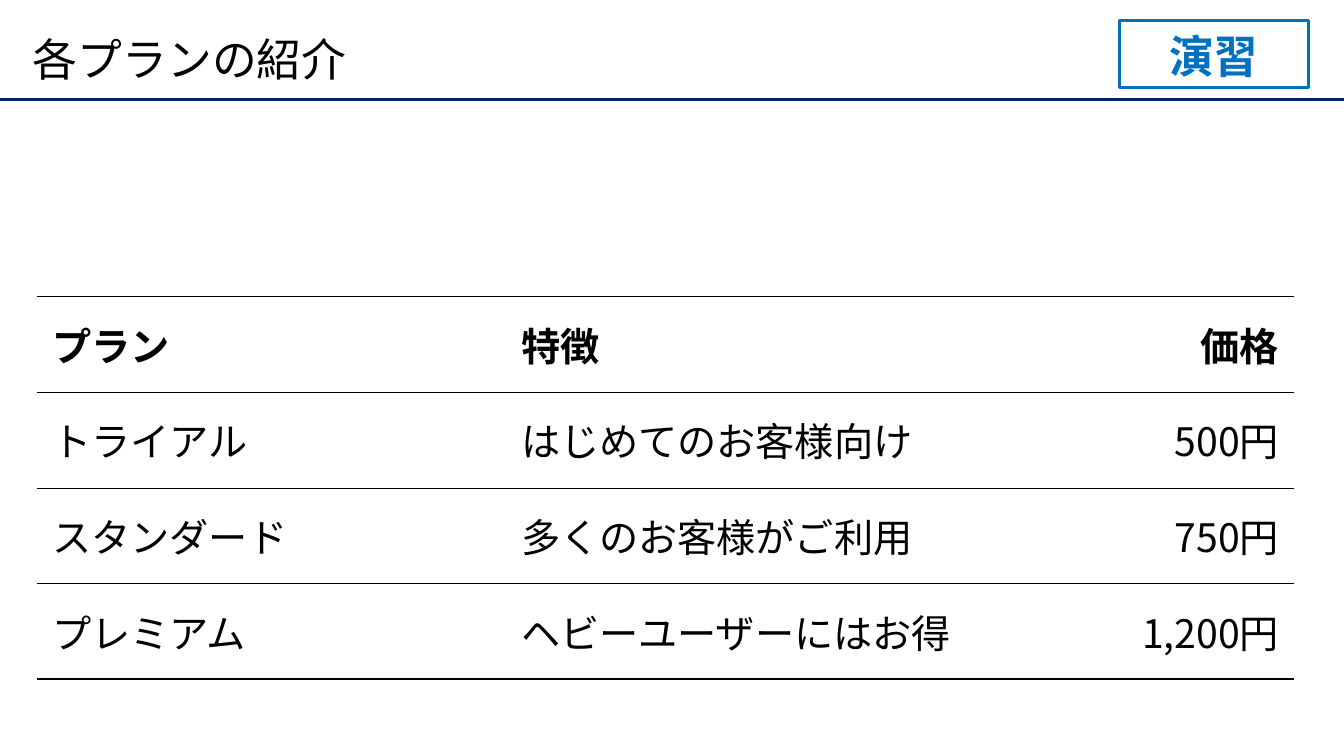
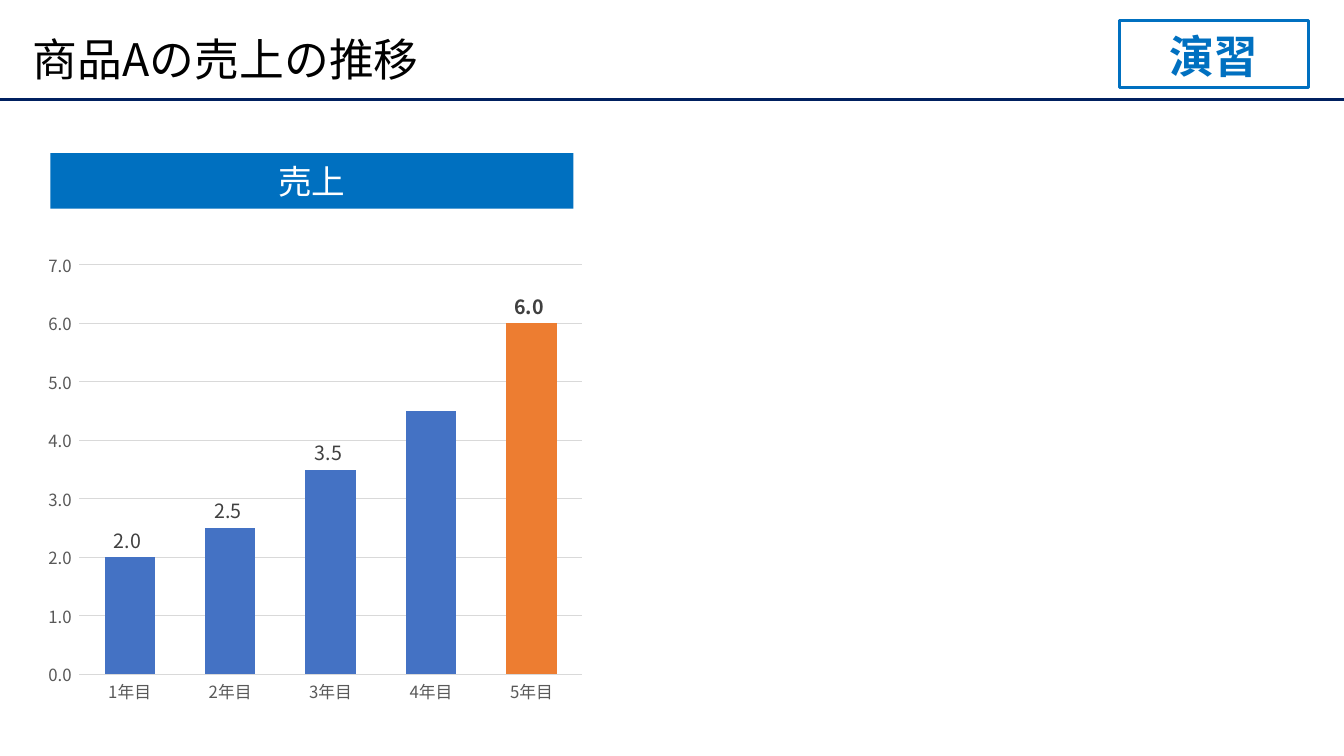
"""Build two exercise slides: a price plan table and a sales chart."""
from dataclasses import dataclass

from lxml import etree
from pptx import Presentation
from pptx import util as u
from pptx.chart.data import CategoryChartData
from pptx.dml.color import RGBColor
from pptx.enum import chart as ch
from pptx.enum import shapes, text
from pptx.oxml.ns import qn

BADGE = "演習"
PLANS_TITLE = "各プランの紹介"
PLANS = [
    ("プラン", "特徴", "価格"),
    ("トライアル", "はじめてのお客様向け", "500円"),
    ("スタンダード", "多くのお客様がご利用", "750円"),
    ("プレミアム", "ヘビーユーザーにはお得", "1,200円"),
]
PLAN_WIDTHS = (11.81, 12.19, 7.67)
PLAN_ROW = 2.41
SALES_TITLE = "商品Aの売上の推移"
SALES_HEADING = "売上"
SALES = {"1年目": 2.0, "2年目": 2.5, "3年目": 3.5, "4年目": 4.5, "5年目": 6.0}
UNLABELLED_YEAR, HIGHLIGHT_YEAR = 3, 4
SALES_FORMAT = "0.0_);[Red]\\(0.0\\)"
SLIDE_W, SLIDE_H = 33.87, 19.05
LEFT = 0.94


@dataclass(frozen=True)
class Theme:
    """Colours, font and type sizes."""
    font: str = "Noto Sans CJK JP"
    black: str = "000000"
    white: str = "FFFFFF"
    navy: str = "002060"
    blue: str = "0070C0"
    bar: str = "4472C4"
    accent: str = "ED7D31"
    grid: str = "D9D9D9"
    axis: str = "595959"
    label: str = "404040"
    title_size: int = 32
    table_size: int = 28
    heading_size: int = 24
    label_size: int = 14
    axis_size: int = 12
    rule: float = 2.25
    thick: float = 1
    thin: float = 0.25
    hairline: float = 0.75


THEME = Theme()


def rgb(value):
    return RGBColor.from_string(value)


def place(*lengths):
    return [u.Cm(length) for length in lengths]


def style_font(font, size, color, bold=False):
    font.name = THEME.font
    font.size = u.Pt(size)
    font.bold = bold
    font.color.rgb = rgb(color)
    latin = font._element.find(qn("a:latin"))
    east_asian = etree.Element(qn("a:ea"), typeface=THEME.font)
    latin.addnext(east_asian)


def style_line(line, color, width):
    line.color.rgb = rgb(color)
    line.width = u.Pt(width)


def write(frame, wording, size, color, bold=False, align=text.PP_ALIGN.LEFT,
          anchor=text.MSO_ANCHOR.MIDDLE):
    frame.text = wording
    frame.word_wrap = True
    frame.vertical_anchor = anchor
    paragraph = frame.paragraphs[0]
    paragraph.alignment = align
    for run in paragraph.runs:
        style_font(run.font, size, color, bold)
    return paragraph


def add_box(slide, box):
    rectangle = slide.shapes.add_shape(shapes.MSO_SHAPE.RECTANGLE, *place(*box))
    rectangle.shadow.inherit = False
    return rectangle


def add_slide(prs, title):
    slide = prs.slides.add_slide(prs.slide_layouts[6])
    rule = slide.shapes.add_connector(
        shapes.MSO_CONNECTOR.STRAIGHT, *place(0, 2.51, SLIDE_W, 2.51))
    style_line(rule.line, THEME.navy, THEME.rule)
    etree.SubElement(rule._element.spPr, qn("a:effectLst"))

    heading = slide.shapes.add_textbox(*place(0.58, 0.51, 32, 2.13))
    write(heading.text_frame, title, THEME.title_size, THEME.black).line_spacing = 0.9

    badge = add_box(slide, (28.22, 0.51, 4.75, 1.7))
    badge.fill.background()
    style_line(badge.line, THEME.blue, THEME.rule)
    write(badge.text_frame, BADGE, THEME.title_size, THEME.blue, True,
          text.PP_ALIGN.CENTER, text.MSO_ANCHOR.BOTTOM)
    return slide


def set_borders(cell, top, bottom):
    properties = cell._tc.get_or_add_tcPr()
    widths = {"lnL": 0, "lnR": 0, "lnT": top, "lnB": bottom}
    for position, (side, width) in enumerate(widths.items()):
        border = etree.Element(qn(f"a:{side}"), w=str(u.Pt(width)))
        if width:
            fill = etree.SubElement(border, qn("a:solidFill"))
            etree.SubElement(fill, qn("a:srgbClr"), val=THEME.black)
        else:
            etree.SubElement(border, qn("a:noFill"))
        properties.insert(position, border)


def add_plans(slide):
    rows, columns = len(PLANS), len(PLAN_WIDTHS)
    plans = slide.shapes.add_table(
        rows, columns,
        *place(LEFT, 7.47, sum(PLAN_WIDTHS), PLAN_ROW * rows)).table
    plans.first_row = plans.horz_banding = False
    for column, width in zip(plans.columns, PLAN_WIDTHS):
        column.width = u.Cm(width)
    for r, plan in enumerate(PLANS):
        plans.rows[r].height = u.Cm(PLAN_ROW)
        top = THEME.thick if r == 0 else THEME.thin
        bottom = THEME.thick if r == rows - 1 else THEME.thin
        for c, wording in enumerate(plan):
            cell = plans.cell(r, c)
            align = text.PP_ALIGN.RIGHT if c == columns - 1 else text.PP_ALIGN.LEFT
            write(cell.text_frame, wording, THEME.table_size, THEME.black, r == 0, align)
            cell.vertical_anchor = text.MSO_ANCHOR.MIDDLE
            cell.margin_left = cell.margin_right = u.Cm(0.38)
            cell.margin_top = cell.margin_bottom = u.Cm(0.38)
            cell.fill.background()
            set_borders(cell, top, bottom)


def style_axes(chart):
    for axis in (chart.category_axis, chart.value_axis):
        axis.major_tick_mark = axis.minor_tick_mark = ch.XL_TICK_MARK.NONE
        style_font(axis.tick_labels.font, THEME.axis_size, THEME.axis)
    style_line(chart.category_axis.format.line, THEME.grid, THEME.hairline)
    values = chart.value_axis
    values.minimum_scale, values.maximum_scale, values.major_unit = 0, 7, 1
    values.format.line.fill.background()
    style_line(values.major_gridlines.format.line, THEME.grid, THEME.hairline)
    values.tick_labels.number_format = SALES_FORMAT
    values.tick_labels.number_format_is_linked = False


def style_labels(series):
    labels = series.data_labels
    labels.show_value = True
    labels.position = ch.XL_LABEL_POSITION.OUTSIDE_END
    labels.number_format = SALES_FORMAT
    labels.number_format_is_linked = False
    style_font(labels.font, THEME.label_size, THEME.label)

    highlight = series.points[HIGHLIGHT_YEAR].data_label
    style_font(highlight.font, THEME.label_size, THEME.label, True)
    highlight.position = ch.XL_LABEL_POSITION.OUTSIDE_END

    series.points[UNLABELLED_YEAR].data_label.position = ch.XL_LABEL_POSITION.OUTSIDE_END
    hidden = series._element.xpath(f"c:dLbls/c:dLbl[c:idx/@val='{UNLABELLED_YEAR}']")[0]
    for part in list(hidden)[1:]:
        hidden.remove(part)
    etree.SubElement(hidden, qn("c:delete"), val="1")


def add_sales(slide):
    data = CategoryChartData(number_format=SALES_FORMAT)
    data.categories = list(SALES)
    data.add_series("Series 1", list(SALES.values()))
    chart = slide.shapes.add_chart(
        ch.XL_CHART_TYPE.COLUMN_CLUSTERED, *place(LEFT, 6.12, 14, 11.84), data).chart
    chart.has_title = chart.has_legend = False
    style_font(chart.font, THEME.axis_size, THEME.black)
    style_axes(chart)

    plot = chart.plots[0]
    plot.vary_by_categories = False
    plot.gap_width, plot.overlap = 100, -27
    series = plot.series[0]
    for fill, color in ((series.format.fill, THEME.bar),
                        (series.points[HIGHLIGHT_YEAR].format.fill, THEME.accent)):
        fill.solid()
        fill.fore_color.rgb = rgb(color)
    style_labels(series)

    heading = add_box(slide, (1.27, 3.86, 13.18, 1.4))
    heading.fill.solid()
    heading.fill.fore_color.rgb = rgb(THEME.blue)
    heading.line.fill.background()
    write(heading.text_frame, SALES_HEADING, THEME.heading_size, THEME.white,
          align=text.PP_ALIGN.CENTER)


def main():
    prs = Presentation()
    prs.slide_width, prs.slide_height = place(SLIDE_W, SLIDE_H)
    add_plans(add_slide(prs, PLANS_TITLE))
    add_sales(add_slide(prs, SALES_TITLE))
    prs.save("out.pptx")


if __name__ == "__main__":
    main()
